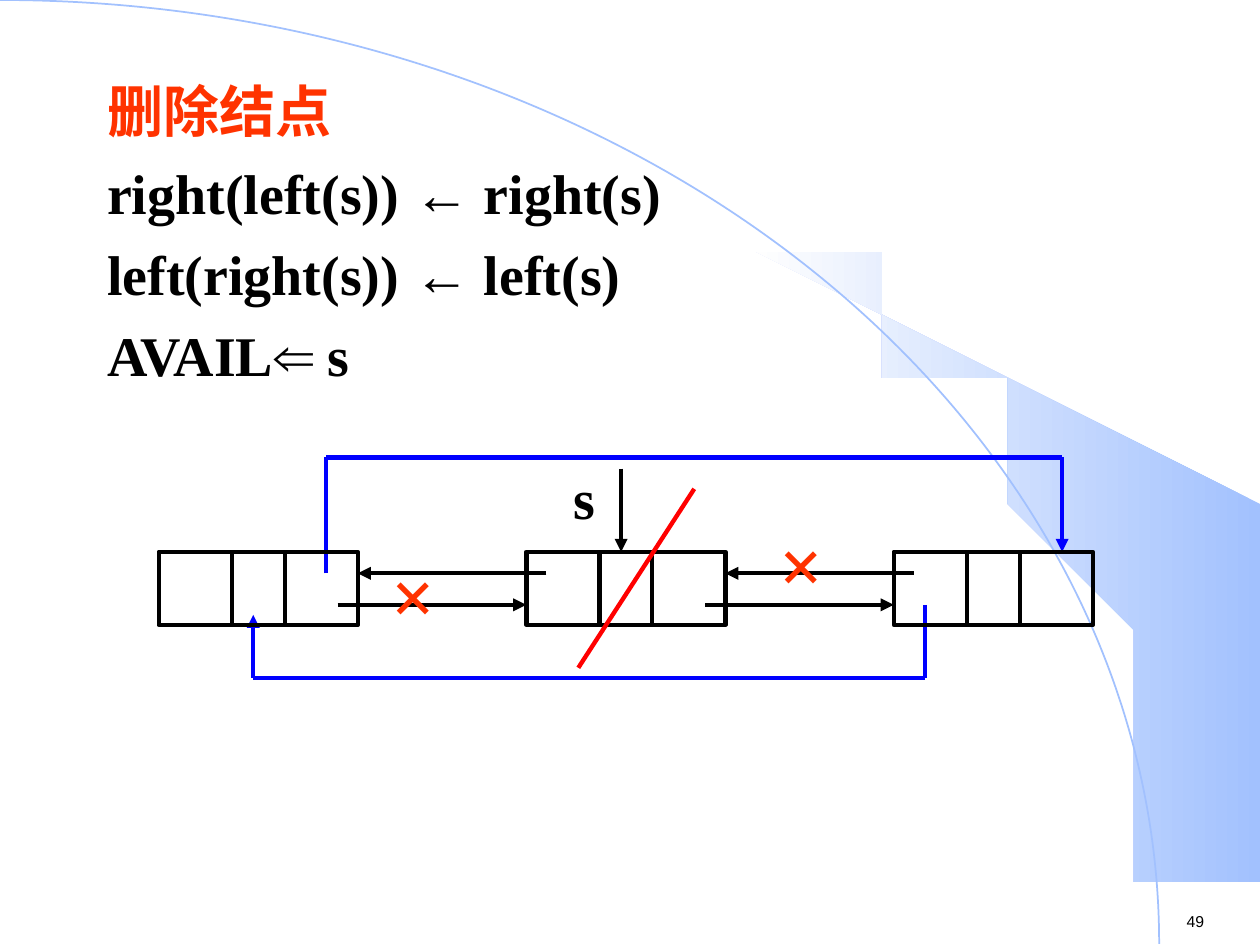
import math
from typing import NamedTuple

from lxml import etree
from pptx import Presentation
from pptx import util as u
from pptx.dml.color import RGBColor
from pptx.enum import shapes, text
from pptx.oxml.ns import qn

BLACK, BLUE, RED, ORANGE, SKY = "000000", "0000FF", "FF0000", "FF3300", "A2C1FE"
SERIF, SANS = "Times New Roman", "Arial"
ARC_WIDTH, ARC_HEIGHT = 9.2, 7.49
NODE_TOP, NODE_WIDTH, NODE_HEIGHT = 4.38, 1.58, 0.58
FIRST_NODE, NODE_PITCH = 1.26, 2.917
DIVIDERS = (0.58, 1.0)


class Link(NamedTuple):
    points: tuple
    color: str = BLACK
    arrow: bool = True


class Label(NamedTuple):
    words: str
    box: tuple
    size: int
    color: str = BLACK
    font: str = SERIF
    bold: bool = True
    wrap: bool = True


def paint(color_format, hex_color: str) -> None:
    color_format.rgb = RGBColor.from_string(hex_color)


def inches(*lengths: float) -> list:
    return [u.Inches(length) for length in lengths]


def stroke(line, color: str, width: float = 2.5) -> None:
    paint(line.color, color)
    line.width = u.Pt(width)


def add_run(paragraph, words: str, color: str, **formats) -> None:
    run = paragraph.add_run()
    run.text = words
    for name, value in formats.items():
        setattr(run.font, name, value)
    paint(run.font.color, color)


def draw_link(slide, link: Link) -> None:
    """Join the points with straight lines; the last one may carry an arrowhead."""
    for start, end in zip(link.points, link.points[1:]):
        line = slide.shapes.add_connector(
            shapes.MSO_CONNECTOR.STRAIGHT, *inches(*start, *end))
        stroke(line.line, link.color)
        properties = line._element.spPr
        etree.SubElement(properties, qn("a:effectLst"))
        if link.arrow and end == link.points[-1]:
            etree.SubElement(properties.find(qn("a:ln")), qn("a:tailEnd"), type="triangle")


def draw_node(slide, left: float) -> None:
    node = slide.shapes.add_shape(
        shapes.MSO_SHAPE.RECTANGLE, *inches(left, NODE_TOP, NODE_WIDTH, NODE_HEIGHT))
    node.shadow.inherit = False
    node.fill.background()
    stroke(node.line, BLACK)
    for offset in DIVIDERS:
        x = left + offset
        draw_link(slide, Link(((x, NODE_TOP), (x, NODE_TOP + NODE_HEIGHT)), arrow=False))


def draw_label(slide, label: Label) -> None:
    frame = slide.shapes.add_textbox(*inches(*label.box)).text_frame
    frame.word_wrap = label.wrap
    add_run(frame.paragraphs[0], label.words, label.color,
            name=label.font, size=u.Pt(label.size), bold=label.bold)


def draw_background(slide) -> None:
    # Shaded wedge between the arc and the right edge
    curve = []
    for degrees in range(40, 91, 2):
        angle = math.radians(degrees)
        curve.append((ARC_WIDTH * math.sin(angle), ARC_HEIGHT * (1 - math.cos(angle))))
    builder = slide.shapes.build_freeform(*curve[0], scale=u.Inches(1))
    builder.add_line_segments(curve[1:] + [(9.99, ARC_HEIGHT), (9.99, 4.23)])
    wedge = builder.convert_to_shape()
    wedge.shadow.inherit = False
    wedge.line.fill.background()
    wedge.fill.gradient()
    wedge.fill.gradient_angle = 180
    for stop, position, color in zip(wedge.fill.gradient_stops, (0, 1), (SKY, "FEFEFE")):
        stop.position = position
        paint(stop.color, color)

    # Quarter arc
    arc = slide.shapes.add_shape(
        shapes.MSO_SHAPE.ARC, *inches(-ARC_WIDTH, 0, 2 * ARC_WIDTH, 2 * ARC_HEIGHT))
    arc.shadow.inherit = False
    arc.fill.background()
    stroke(arc.line, SKY, 1)


def fill_body(body) -> None:
    body.left, body.top, body.width, body.height = inches(0.75, 0.56, 7.79, 2.76)
    frame = body.text_frame
    frame.auto_size = text.MSO_AUTO_SIZE.NONE
    frame.vertical_anchor = text.MSO_ANCHOR.TOP
    steps = (
        (ORANGE, ("删除结点",)),
        (BLACK, ("right(left(s)) ", "←", " right(s)")),
        (BLACK, ("left(right(s)) ", "←", " left(s)")),
        (BLACK, ("AVAIL", "⇐", " s")),
    )
    for index, (color, pieces) in enumerate(steps):
        paragraph = frame.add_paragraph() if index else frame.paragraphs[0]
        paragraph.space_before = u.Pt(8 if index else 0)
        etree.SubElement(paragraph._p.get_or_add_pPr(), qn("a:buNone"))
        for piece in pieces:
            add_run(paragraph, piece, color, size=u.Pt(32), bold=True,
                    name=SANS if piece in "←⇐" else SERIF)


def main() -> None:
    deck = Presentation()
    deck.slide_width, deck.slide_height = inches(10, 7.5)
    slide = deck.slides.add_slide(deck.slide_layouts[1])
    heading, body = slide.placeholders
    heading._element.getparent().remove(heading._element)

    draw_background(slide)
    fill_body(body)
    slide.shapes._spTree.append(body._element)  # text in front of the background

    # New links around the deleted node
    draw_link(slide, Link(((7.34, 4.8), (7.34, 5.38), (2.01, 5.38), (2.01, 4.88)), BLUE))
    draw_link(slide, Link(((2.59, 4.55), (2.59, 3.63), (8.43, 3.63), (8.43, NODE_TOP)), BLUE))

    # Nodes and the old links between neighbours
    nodes = [FIRST_NODE + i * NODE_PITCH for i in range(3)]
    for left in nodes:
        draw_node(slide, left)
    for left, right in zip(nodes, nodes[1:]):
        draw_link(slide, Link(((right + 0.16, 4.55), (left + NODE_WIDTH, 4.55))))
        draw_link(slide, Link(((left + 1.42, 4.8), (right, 4.8))))

    # Pointer s and the stroke through its node
    draw_link(slide, Link(((4.93, 3.72), (4.93, NODE_TOP))))
    draw_link(slide, Link(((5.51, 3.88), (4.59, 5.3)), RED, arrow=False))

    labels = (
        Label("s", (4.45, 3.63, 0.45, 0.64), 32),
        Label("×", (6.09, 4.05, 0.92, 0.84), 44, ORANGE),
        Label("×", (3.01, 4.3, 0.92, 0.84), 44, ORANGE),
        Label("49", (9.32, 7.19, 0.77, 0.25), 9, font=SANS, bold=False, wrap=False),
    )
    for label in labels:
        draw_label(slide, label)
    deck.save("out.pptx")


if __name__ == "__main__":
    main()
